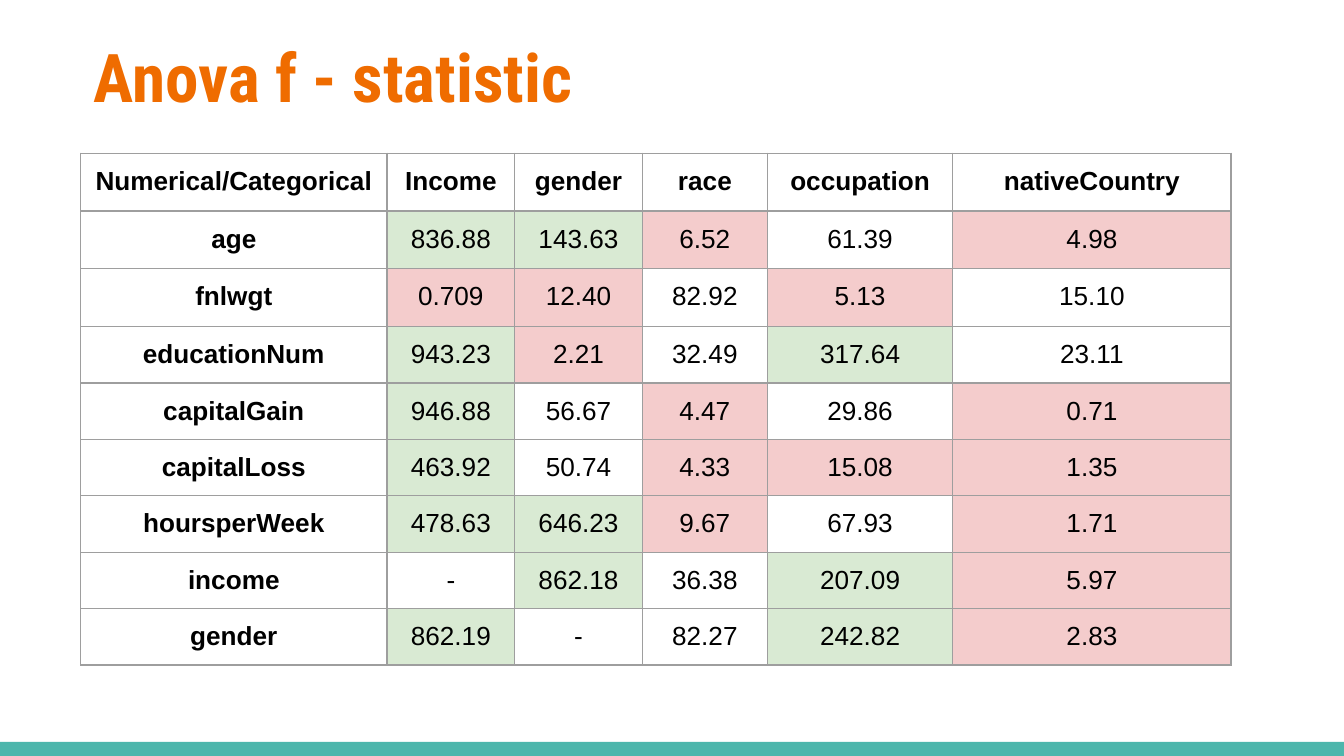
from lxml.etree import SubElement
from pptx import Presentation
from pptx.dml.color import RGBColor
from pptx.enum.shapes import MSO_SHAPE as Shape
from pptx.enum.text import MSO_ANCHOR as Anchor, PP_ALIGN as Align
from pptx.oxml.ns import qn
from pptx.util import Inches, Pt

ORANGE, TEAL, BLACK, GRAY = "EF6C00", "4DB6AC", "000000", "9E9E9E"
GREEN, RED = "D9EAD3", "F4CCCC"
HIGH, LOW = 100, 15.1
PAGE_WIDTH = Inches(10)
PAGE_HEIGHT = PAGE_WIDTH * 9 // 16
COLUMN_WIDTHS = [2.28, 0.95, 0.95, 0.93, 1.38, 2.07]
ROW_HEIGHTS = [0.43] * 3 + [0.42] * 6
HEADER = ["Numerical/Categorical", "Income", "gender", "race", "occupation", "nativeCountry"]
STATISTICS = [
    ["age", "836.88", "143.63", "6.52", "61.39", "4.98"],
    ["fnlwgt", "0.709", "12.40", "82.92", "5.13", "15.10"],
    ["educationNum", "943.23", "2.21", "32.49", "317.64", "23.11"],
    ["capitalGain", "946.88", "56.67", "4.47", "29.86", "0.71"],
    ["capitalLoss", "463.92", "50.74", "4.33", "15.08", "1.35"],
    ["hoursperWeek", "478.63", "646.23", "9.67", "67.93", "1.71"],
    ["income", "-", "862.18", "36.38", "207.09", "5.97"],
    ["gender", "862.19", "-", "82.27", "242.82", "2.83"],
]


def paint(fill, color):
    """Fill with a hex colour, or leave clear when there is none."""
    if color:
        fill.solid()
        fill.fore_color.rgb = RGBColor.from_string(color)
    else:
        fill.background()


def write(frame, text, size=14, font="Arial", color=BLACK, bold=False, align=Align.CENTER):
    """Put one formatted line of text into a text frame."""
    frame.word_wrap = True
    para = frame.paragraphs[0]
    para.alignment = align
    span = para.add_run()
    span.text = text
    span.font.size = Pt(size)
    span.font.name = font
    span.font.bold = bold
    span.font.color.rgb = RGBColor.from_string(color)


def set_margins(holder):
    """Give a cell or text frame equal margins on all sides."""
    for side in ("left", "right", "top", "bottom"):
        setattr(holder, f"margin_{side}", Inches(0.1))


def add_borders(cell, color=GRAY, width=0.75):
    """Draw a thin line on the four edges of a cell."""
    properties = cell._tc.get_or_add_tcPr()
    for edge in ("a:lnL", "a:lnR", "a:lnT", "a:lnB"):
        line = SubElement(properties, qn(edge), w=str(Pt(width)))
        fill = SubElement(line, qn("a:solidFill"))
        SubElement(fill, qn("a:srgbClr"), val=color)


def shade(text):
    """Choose the cell colour that a statistic calls for."""
    if text == "-":
        return None
    value = float(text)
    if value > HIGH:
        return GREEN
    return RED if value < LOW else None


def add_title(page, text):
    """Add the slide heading."""
    box = page.shapes.add_textbox(Inches(0.6), Inches(0.16), Inches(9.32), Inches(0.77))
    set_margins(box.text_frame)
    write(box.text_frame, text, size=36, font="Roboto Condensed", color=ORANGE,
          bold=True, align=Align.LEFT)


def add_footer_bar(page):
    """Add the coloured bar along the bottom edge."""
    top = Inches(5.52)
    bar = page.shapes.add_shape(Shape.RECTANGLE, 0, top, PAGE_WIDTH, PAGE_HEIGHT - top)
    bar.shadow.inherit = False
    paint(bar.fill, TEAL)
    bar.line.fill.background()


def add_statistics_table(page, rows):
    """Add the table, with headings in bold and statistics shaded by size."""
    frame = page.shapes.add_table(len(rows), len(COLUMN_WIDTHS), Inches(0.6), Inches(1.14),
                                  Inches(sum(COLUMN_WIDTHS)), Inches(sum(ROW_HEIGHTS)))
    table = frame.table
    table.first_row = table.horz_banding = False
    for column, width in zip(table.columns, COLUMN_WIDTHS):
        column.width = Inches(width)
    for row, height in zip(table.rows, ROW_HEIGHTS):
        row.height = Inches(height)
    for row_index, row in enumerate(rows):
        for column_index, text in enumerate(row):
            cell = table.cell(row_index, column_index)
            heading = row_index == 0 or column_index == 0
            set_margins(cell)
            cell.vertical_anchor = Anchor.TOP
            add_borders(cell)
            paint(cell.fill, None if heading else shade(text))
            write(cell.text_frame, text, bold=heading)


def main():
    """Build the slide and save the deck."""
    deck = Presentation()
    deck.slide_width, deck.slide_height = PAGE_WIDTH, PAGE_HEIGHT
    page = deck.slides.add_slide(deck.slide_layouts[6])
    add_footer_bar(page)
    add_statistics_table(page, [HEADER] + STATISTICS)
    add_title(page, "Anova f - statistic")
    deck.save("out.pptx")


if __name__ == "__main__":
    main()
